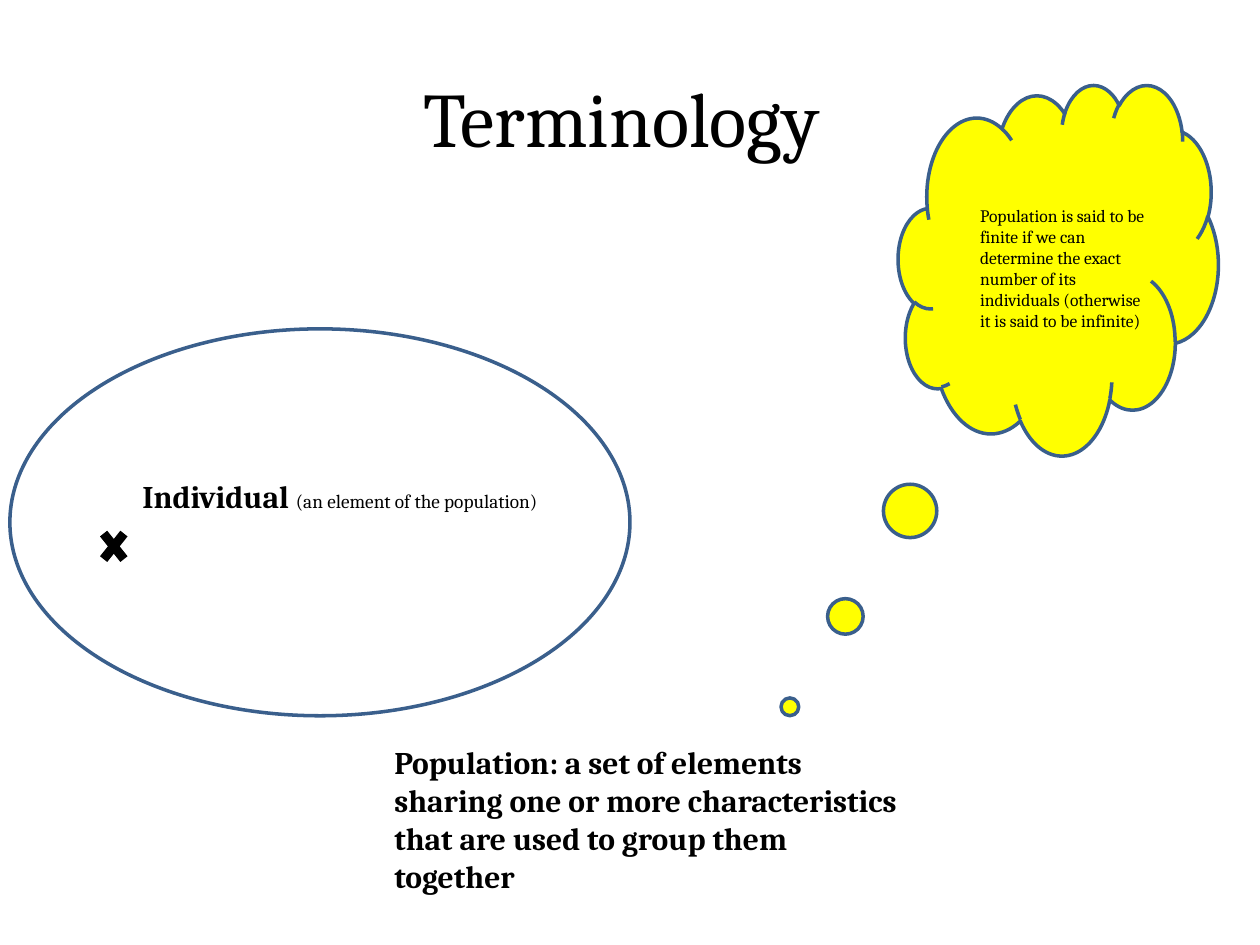
from dataclasses import dataclass

from pptx import Presentation
from pptx.dml.color import RGBColor
from pptx.enum.shapes import MSO_SHAPE
from pptx.enum.text import MSO_ANCHOR, MSO_AUTO_SIZE, PP_ALIGN
from pptx.util import Cm, Pt

OVAL = MSO_SHAPE.OVAL
CROSS = MSO_SHAPE.MATH_MULTIPLY
CLOUD = MSO_SHAPE.CLOUD_CALLOUT
MIDDLE = MSO_ANCHOR.MIDDLE
GROW = MSO_AUTO_SIZE.SHAPE_TO_FIT_TEXT
CENTER = PP_ALIGN.CENTER


@dataclass(frozen=True)
class Theme:
    font: str = "Cambria"
    ink: RGBColor = RGBColor(0x00, 0x00, 0x00)
    outline: RGBColor = RGBColor(0x3A, 0x5F, 0x8C)
    cloud: RGBColor = RGBColor(0xFF, 0xFF, 0x00)
    title: int = 44
    term: int = 18
    gloss: int = 11
    remark: int = 10
    line: int = 2


THEME = Theme()


def style(r, size, bold=False):
    r.font.name = THEME.font
    r.font.size = Pt(size)
    r.font.bold = bold
    r.font.color.rgb = THEME.ink


def add_shape(s, kind, x, y, w, h, fill=None, line=None):
    sp = s.shapes.add_shape(kind, Cm(x), Cm(y), Cm(w), Cm(h))
    sp.shadow.inherit = False
    if fill is None:
        sp.fill.background()
    else:
        sp.fill.solid()
        sp.fill.fore_color.rgb = fill
    if line is None:
        sp.line.fill.background()
    else:
        sp.line.color.rgb = line
        sp.line.width = Pt(THEME.line)
    return sp


def add_text(s, x, y, w, h, *runs):
    """Each run is (text, size, bold)."""
    tf = s.shapes.add_textbox(Cm(x), Cm(y), Cm(w), Cm(h)).text_frame
    tf.word_wrap = True
    tf.auto_size = GROW
    for text, size, bold in runs:
        r = tf.paragraphs[0].add_run()
        r.text = text
        style(r, size, bold)


def add_title(s, x, y, w, h):
    sp = s.shapes.title
    sp.left, sp.top, sp.width, sp.height = Cm(x), Cm(y), Cm(w), Cm(h)
    tf = sp.text_frame
    tf.text = "Terminology "
    tf.vertical_anchor = MIDDLE
    p = tf.paragraphs[0]
    p.alignment = CENTER
    style(p.runs[0], THEME.title)


def add_population(s, x, y, w, h):
    # Set, with one marked element
    add_shape(s, OVAL, x, y, w, h, line=THEME.outline)
    add_shape(s, CROSS, x + 1.7, y + 3.89, 0.79, 0.99, fill=THEME.ink)
    add_text(s, x + 2.42, y + 2.87, w, 1.02,
             ("Individual ", THEME.term, True),
             ("(an element of the population)", THEME.gloss, False))
    # Definition below the set
    add_text(s, x + 7.5, y + h + 0.43, 10.9, 4.11,
             ("Population: a set of elements sharing one or more characteristics "
              "that are used to group them together", THEME.term, True))


def add_remark(s, x, y, w, h):
    # Thought cloud, its tail pointing at the definition
    sp = add_shape(s, CLOUD, x, y, w, h, THEME.cloud, THEME.outline)
    sp.adjustments[0] = -0.839
    sp.adjustments[1] = 1.18
    add_text(s, x + 1.4, y + 2.31, 3.99, 3.25,
             ("Population is said to be finite if we can determine the exact "
              "number of its individuals (otherwise it is said to be infinite)",
              THEME.remark, False))


def main():
    prs = Presentation()
    prs.slide_width, prs.slide_height = Cm(25.4), Cm(19.05)
    s = prs.slides.add_slide(prs.slide_layouts[5])
    add_title(s, 1.27, 0.76, 22.86, 3.18)
    add_population(s, 0.2, 6.63, 12.5, 7.8)
    add_remark(s, 18.11, 1.7, 6.45, 7.47)
    prs.save("out.pptx")


if __name__ == "__main__":
    main()
